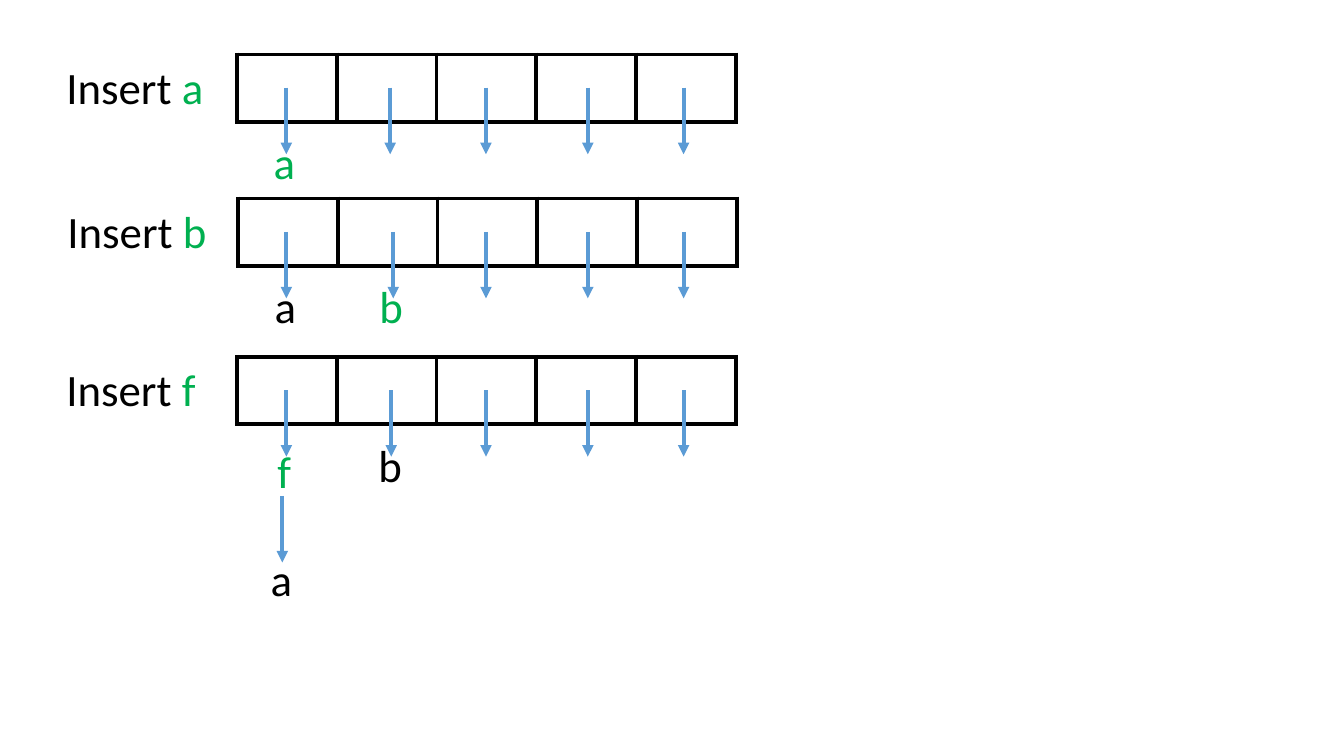
from dataclasses import dataclass

from lxml.etree import SubElement
from pptx import Presentation
from pptx.dml.color import RGBColor
from pptx.enum.shapes import MSO_CONNECTOR
from pptx.enum.text import MSO_AUTO_SIZE, PP_ALIGN
from pptx.oxml import parse_xml
from pptx.oxml.ns import nsdecls, qn
from pptx.slide import Slide
from pptx.util import Inches, Pt


@dataclass(frozen=True)
class Theme:
    font: str = "Calibri"
    size: float = 32
    black: str = "000000"
    white: str = "FFFFFF"
    green: str = "00B050"
    blue: str = "5B9BD5"
    border: float = 3
    arrow: float = 2.75


@dataclass(frozen=True)
class Entry:
    text: str
    left: float
    top: float
    color: str
    height: float = 0.94


@dataclass(frozen=True)
class Step:
    key: str
    left: float
    top: float
    second_arrow: float
    entries: tuple[Entry, ...]


THEME = Theme()
BUCKETS, BUCKET_W, BUCKET_H = 5, 0.99, 0.67
ARROW_H = 0.66

STEPS = (
    Step("a", 2.35, 0.54, 3.87, (Entry("a", 2.45, 1.29, THEME.green),)),
    Step("b", 2.36, 1.97, 3.9, (
        Entry("a", 2.46, 2.72, THEME.black),
        Entry("b", 3.51, 2.72, THEME.green),
    )),
    Step("f", 2.35, 3.54, 3.88, (
        Entry("f", 2.45, 4.35, THEME.green, 1.18),
        Entry("b", 3.5, 4.29, THEME.black),
        Entry("a", 2.42, 5.42, THEME.black),
    )),
)


def add_text(s: Slide, left: float, top: float, width: float, height: float,
             runs: list[tuple[str, str]], align: PP_ALIGN) -> None:
    tf = s.shapes.add_textbox(*map(Inches, (left, top, width, height))).text_frame
    frame_format = {"word_wrap": True, "auto_size": MSO_AUTO_SIZE.SHAPE_TO_FIT_TEXT}
    for name, value in frame_format.items():
        setattr(tf, name, value)
    p = tf.paragraphs[0]
    p.alignment = align
    for text, color in runs:
        r = p.add_run()
        r.text = text
        for name, value in {"name": THEME.font, "size": Pt(THEME.size)}.items():
            setattr(r.font, name, value)
        r.font.color.rgb = RGBColor.from_string(color)


def add_arrow(s: Slide, x: float, y: float) -> None:
    sp = s.shapes.add_connector(
        MSO_CONNECTOR.STRAIGHT, *map(Inches, (x, y, x, y + ARROW_H)))
    sp.line.width = Pt(THEME.arrow)
    sp.line.color.rgb = RGBColor.from_string(THEME.blue)
    ln = sp.line._get_or_add_ln()
    SubElement(ln, qn("a:tailEnd"), type="triangle")
    SubElement(ln.getparent(), qn("a:effectLst"))


def add_buckets(s: Slide, left: float, top: float) -> None:
    size = (left, top, BUCKETS * BUCKET_W, BUCKET_H)
    table = s.shapes.add_table(1, BUCKETS, *map(Inches, size)).table
    for name in ("first_row", "horz_banding"):
        setattr(table, name, False)
    for cell in table.iter_cells():
        cell.fill.solid()
        cell.fill.fore_color.rgb = RGBColor.from_string(THEME.white)
        tc_pr = cell._tc.get_or_add_tcPr()
        for i, side in enumerate(("lnL", "lnR", "lnT", "lnB")):
            tc_pr.insert(i, parse_xml(
                f'<a:{side} {nsdecls("a")} w="{Pt(THEME.border)}"><a:solidFill>'
                f'<a:srgbClr val="{THEME.black}"/></a:solidFill></a:{side}>'))


def add_step(s: Slide, step: Step) -> None:
    # Bucket array and its caption
    add_buckets(s, step.left, step.top)
    add_text(s, step.left - 1.79, step.top, 1.89, 0.64,
             [("Insert ", THEME.black), (step.key, THEME.green)], PP_ALIGN.LEFT)
    # Stored entries
    for e in step.entries:
        add_text(s, e.left, e.top, 0.74, e.height, [(e.text, e.color)],
                 PP_ALIGN.CENTER)
    # Pointers out of the buckets
    for x in (2.84, step.second_arrow, 4.82, 5.83, 6.78):
        add_arrow(s, x, step.top + 0.33)


def main() -> None:
    prs = Presentation()
    for name, value in {"slide_width": 13.33, "slide_height": 7.5}.items():
        setattr(prs, name, Inches(value))
    s = prs.slides.add_slide(prs.slide_layouts[6])
    for step in STEPS:
        add_step(s, step)
    # Chain link from f to a
    add_arrow(s, 2.8, 4.92)
    prs.save("out.pptx")


if __name__ == "__main__":
    main()
